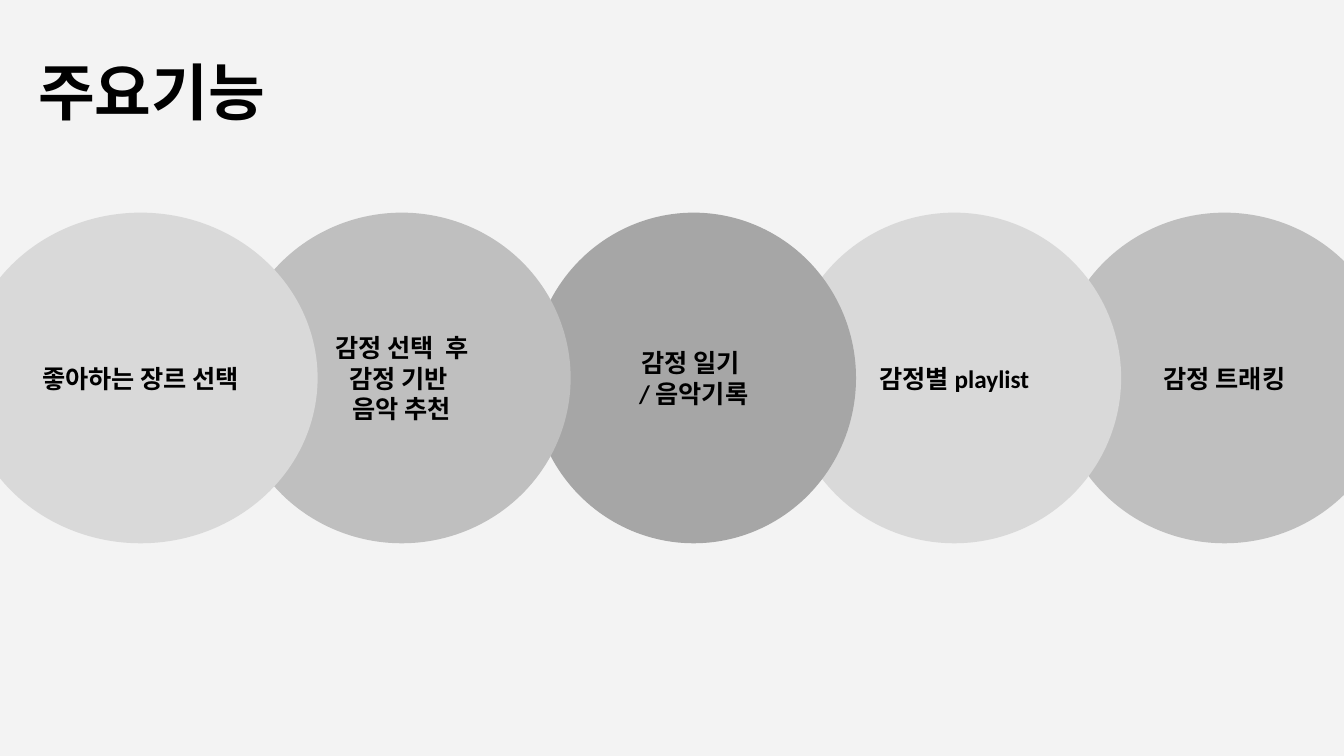
from pptx import Presentation
from pptx.dml.color import RGBColor
from pptx.enum.shapes import MSO_SHAPE as SHAPE
from pptx.enum.text import MSO_ANCHOR as ANCHOR, PP_ALIGN as ALIGN
from pptx.util import Inches, Pt

BACKGROUND = RGBColor(0xF3, 0xF3, 0xF3)
LIGHT = RGBColor(0xD9, 0xD9, 0xD9)
MID = RGBColor(0xBF, 0xBF, 0xBF)
DARK = RGBColor(0xA6, 0xA6, 0xA6)
BLACK = RGBColor(0, 0, 0)
FONT = "Calibri"

FEATURES = [
    (-0.36, 3.51, LIGHT, "좋아하는 장르 선택"),
    (2.31, 3.35, MID, "감정 선택  후\n감정 기반 \n음악 추천"),
    (5.27, 3.22, DARK, "감정 일기 \n/ 음악기록"),
    (7.81, 3.31, LIGHT, "감정별 playlist"),
    (10.47, 3.35, MID, "감정 트래킹"),
]


def write_text(tf, text, size, align):
    """Fill a text frame with bold black text, centred vertically."""
    tf.text = text
    tf.word_wrap = True
    tf.vertical_anchor = ANCHOR.MIDDLE
    for p in tf.paragraphs:
        p.alignment = align
        for r in p.runs:
            r.font.name = FONT
            r.font.size = Pt(size)
            r.font.bold = True
            r.font.color.rgb = BLACK


def add_title(slide, left, top, width, height, text):
    """Place the title placeholder in the given box."""
    sp = slide.shapes.title
    sp.left, sp.top = Inches(left), Inches(top)
    sp.width, sp.height = Inches(width), Inches(height)
    write_text(sp.text_frame, text, 44, ALIGN.LEFT)


def add_feature_circles(slide, left, top, height, features):
    """Draw the overlapping circles, the leftmost one in front."""
    for offset, width, color, text in reversed(features):
        sp = slide.shapes.add_shape(SHAPE.OVAL, Inches(left + offset), Inches(top),
                                    Inches(width), Inches(height))
        sp.shadow.inherit = False
        sp.fill.solid()
        sp.fill.fore_color.rgb = color
        sp.line.fill.background()
        write_text(sp.text_frame, text, 18, ALIGN.CENTER)


def build_features_slide(prs):
    """Add the slide of main features."""
    slide = prs.slides.add_slide(prs.slide_layouts[5])
    slide.background.fill.solid()
    slide.background.fill.fore_color.rgb = BACKGROUND
    add_feature_circles(slide, 0, 2.11, 3.28, FEATURES)
    add_title(slide, 0.28, 0.28, 12, 1.25, "주요기능")


def main():
    """Build and save the presentation."""
    prs = Presentation()
    prs.slide_width, prs.slide_height = Inches(13.33), Inches(7.5)
    build_features_slide(prs)
    prs.save("out.pptx")


if __name__ == "__main__":
    main()
